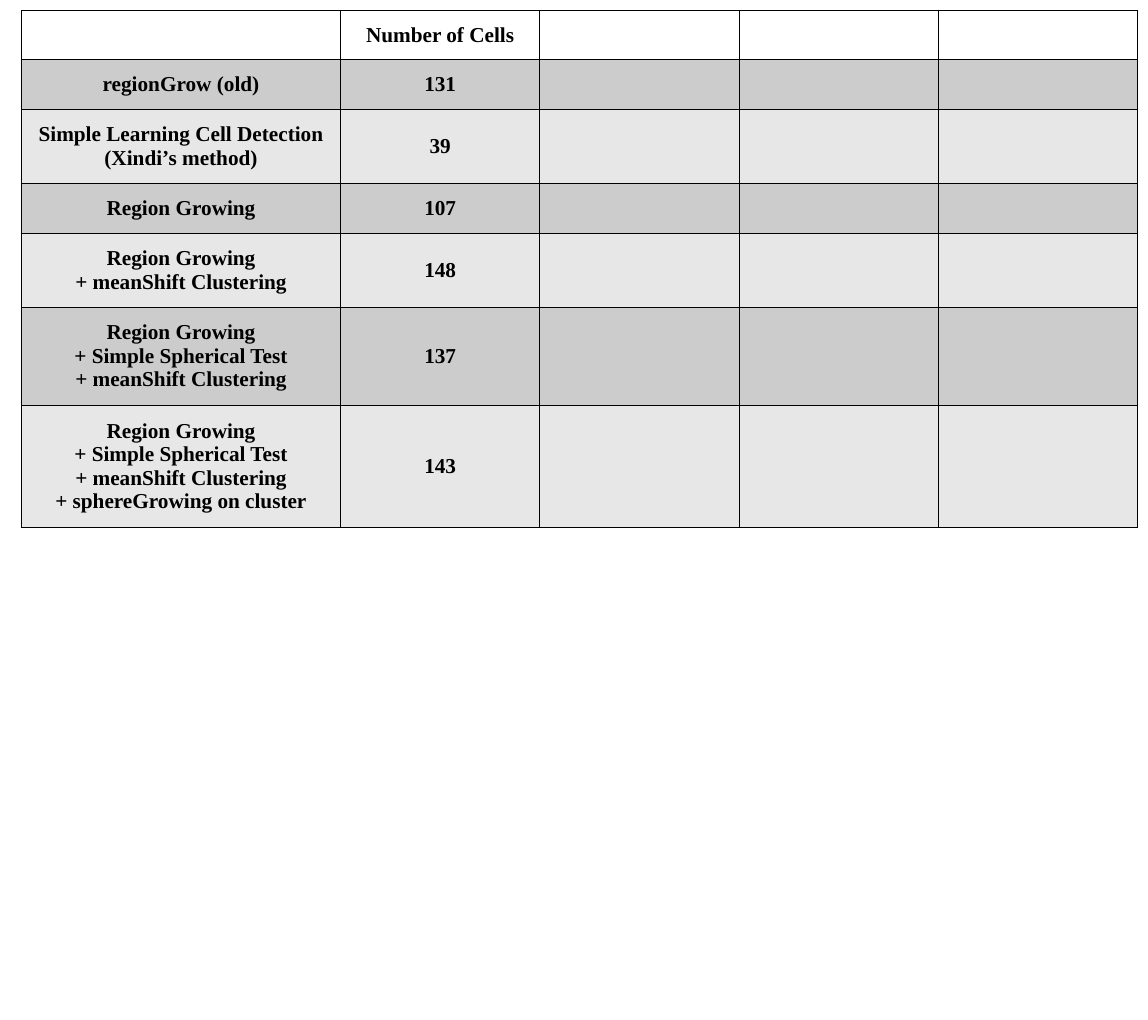
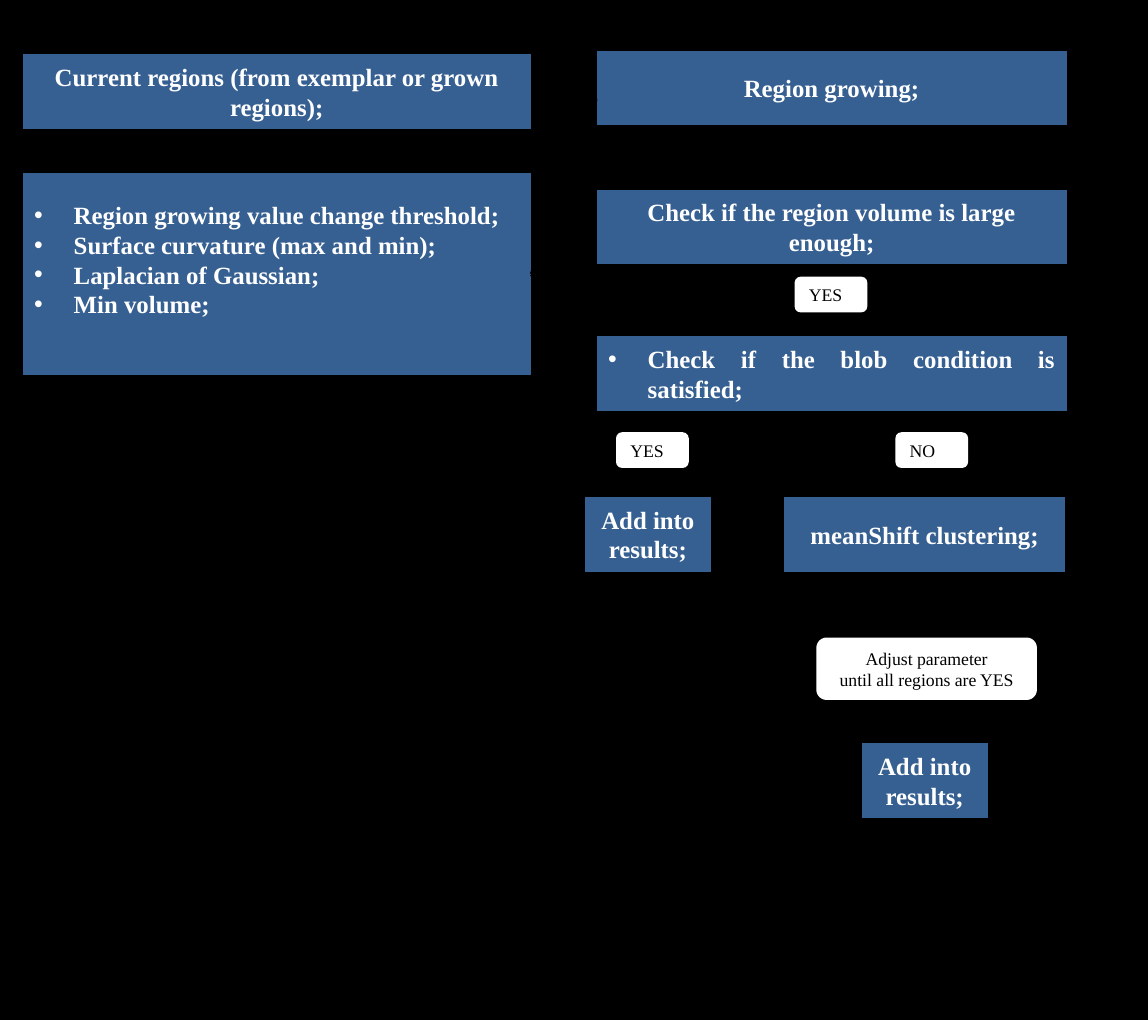
from dataclasses import dataclass

from lxml import etree
from pptx import Presentation
from pptx.dml.color import RGBColor
from pptx.enum.dml import MSO_LINE
from pptx.enum.shapes import MSO_CONNECTOR, MSO_SHAPE
from pptx.enum.text import MSO_ANCHOR, PP_ALIGN
from pptx.oxml.ns import qn
from pptx.util import Inches, Pt

CENTER, JUSTIFY = PP_ALIGN.CENTER, PP_ALIGN.JUSTIFY
MIDDLE = MSO_ANCHOR.MIDDLE
RECT, PILL = MSO_SHAPE.RECTANGLE, MSO_SHAPE.FLOWCHART_ALTERNATE_PROCESS
STRAIGHT, ELBOW = MSO_CONNECTOR.STRAIGHT, MSO_CONNECTOR.ELBOW
DASH = MSO_LINE.SQUARE_DOT
TOP, LEFT, BOTTOM = 0, 1, 2


@dataclass(frozen=True)
class Theme:
    font: str = "Times New Roman"
    black: RGBColor = RGBColor(0, 0, 0)
    white: RGBColor = RGBColor(255, 255, 255)
    blue: RGBColor = RGBColor(0x37, 0x60, 0x92)
    bands: tuple = (RGBColor(0xCC, 0xCC, 0xCC), RGBColor(0xE7, 0xE7, 0xE7))
    table_size: int = 12
    box_size: int = 14
    label_size: int = 10
    inset: float = 0.1
    indent: float = 0.31
    table_line: float = 0.5
    box_line: float = 1
    arrow_line: float = 2.25


class Deck:
    def __init__(self, theme, width, height):
        self.theme = theme
        self.prs = Presentation()
        self.prs.slide_width, self.prs.slide_height = Inches(width), Inches(height)
        self.s = None

    def slide(self, color):
        self.s = self.prs.slides.add_slide(self.prs.slide_layouts[6])
        fill = self.s.background.fill
        fill.solid()
        fill.fore_color.rgb = color

    def format_text(self, tf, text, size, color, bold, align):
        tf.text = text
        tf.word_wrap = True
        for p in tf.paragraphs:
            p.alignment = align
            for r in p.runs:
                r.font.name = self.theme.font
                r.font.size = Pt(size)
                r.font.bold = bold
                r.font.color.rgb = color

    def set_insets(self, target):
        inset = Inches(self.theme.inset)
        target.margin_left = target.margin_right = inset
        target.margin_top = target.margin_bottom = inset
        target.vertical_anchor = MIDDLE

    def shape(self, kind, at, text, fill, size, color, bold, align):
        sp = self.s.shapes.add_shape(kind, *map(Inches, at))
        sp.shadow.inherit = False
        sp.fill.solid()
        sp.fill.fore_color.rgb = fill
        self.set_insets(sp.text_frame)
        self.format_text(sp.text_frame, text, size, color, bold, align)
        return sp

    def box(self, at, text, align=CENTER):
        t = self.theme
        sp = self.shape(RECT, at, text, t.blue, t.box_size, t.white, True, align)
        sp.line.color.rgb = t.black
        sp.line.width = Pt(t.box_line)
        return sp

    def bullet_box(self, at, text):
        sp = self.box(at, text, JUSTIFY)
        indent = Inches(self.theme.indent)
        for p in sp.text_frame.paragraphs:
            pPr = p._p.get_or_add_pPr()
            pPr.set("marL", str(indent))
            pPr.set("indent", str(-indent))
            etree.SubElement(pPr, qn("a:buFont"), typeface="Arial")
            etree.SubElement(pPr, qn("a:buChar"), char="•")
        return sp

    def label(self, at, text, align=JUSTIFY):
        t = self.theme
        sp = self.shape(PILL, at, text, t.white, t.label_size, t.black, False, align)
        sp.line.fill.background()

    def connector(self, kind, start, end):
        cxn = self.s.shapes.add_connector(kind, *map(Inches, start + end))
        cxn.line.color.rgb = self.theme.black
        cxn.line.width = Pt(self.theme.arrow_line)
        etree.SubElement(cxn.line._get_or_add_ln(), qn("a:tailEnd"), type="triangle")
        etree.SubElement(cxn._element.spPr, qn("a:effectLst"))
        return cxn

    def arrow(self, target, site, source=None, start=(0, 0), source_site=BOTTOM, dash=None):
        cxn = self.connector(STRAIGHT, start, start)
        if source is not None:
            cxn.begin_connect(source, source_site)
        cxn.end_connect(target, site)
        if dash is not None:
            cxn.line.dash_style = dash

    def loop_arrow(self, start, end, below, beyond):
        (x1, y1), (x2, y2) = start, end
        cx, cy = (x1 + x2) / 2, (y1 + y2) / 2
        across, up = x2 - x1, y1 - y2
        cxn = self.connector(ELBOW, (cx + up / 2, cy + across / 2),
                             (cx - up / 2, cy - across / 2))
        spPr = cxn._element.spPr
        spPr.find(qn("a:xfrm")).set("rot", "5400000")
        geom = spPr.find(qn("a:prstGeom"))
        geom.set("prst", "bentConnector4")
        guides = geom.find(qn("a:avLst"))
        for name, ratio in (("adj1", -below / up), ("adj2", 1 + beyond / across)):
            etree.SubElement(guides, qn("a:gd"), name=name, fmla=f"val {round(ratio * 100000)}")

    def cell_borders(self, cell):
        tcPr = cell._tc.get_or_add_tcPr()
        for i, side in enumerate(("a:lnL", "a:lnR", "a:lnT", "a:lnB")):
            ln = etree.Element(qn(side), w=str(Pt(self.theme.table_line)))
            fill = etree.SubElement(ln, qn("a:solidFill"))
            etree.SubElement(fill, qn("a:srgbClr"), val=str(self.theme.black))
            tcPr.insert(i, ln)

    def table(self, left, top, widths, rows, line_height):
        t = self.theme
        heights = [2 * t.inset + line_height * (row[0].count("\n") + 1) for row in rows]
        frame = self.s.shapes.add_table(len(rows), len(widths), Inches(left), Inches(top),
                                        Inches(sum(widths)), Inches(sum(heights)))
        tbl = frame.table
        for column, width in zip(tbl.columns, widths):
            column.width = Inches(width)
        for i, (row, height) in enumerate(zip(rows, heights)):
            tbl.rows[i].height = Inches(height)
            for j in range(len(widths)):
                cell = tbl.cell(i, j)
                text = row[j] if j < len(row) else ""
                cell.fill.solid()
                cell.fill.fore_color.rgb = t.bands[(i - 1) % 2] if i else t.white
                self.cell_borders(cell)
                if text:
                    self.set_insets(cell)
                    self.format_text(cell.text_frame, text, t.table_size, t.black, True, CENTER)
                else:
                    cell.margin_top = cell.margin_bottom = 0


def results_slide(d):
    d.slide(d.theme.white)
    steps = ["Region Growing", "+ Simple Spherical Test", "+ meanShift Clustering",
             "+ sphereGrowing on cluster"]
    rows = [
        ("", "Number of Cells"),
        ("regionGrow (old)", "131"),
        ("Simple Learning Cell Detection\n(Xindi’s method)", "39"),
        (steps[0], "107"),
        ("\n".join(steps[0:3:2]), "148"),
        ("\n".join(steps[:3]), "137"),
        ("\n".join(steps), "143"),
    ]
    d.table(0.17, 0.08, [2.5] + [6.25 / 4] * 4, rows, 0.19)


def flow_slide(d):
    d.slide(d.theme.black)
    settings = d.bullet_box((0.17, 1.35, 4, 1.6), "\n".join([
        "Region growing value change threshold;",
        "Surface curvature (max and min);",
        "Laplacian of Gaussian;",
        "Min volume;",
    ]))
    settings.text_frame.margin_bottom = Inches(0.33)
    regions = d.box((0.17, 0.42, 4, 0.6), "Current regions (from exemplar or grown regions);")
    growing = d.box((4.67, 0.39, 3.7, 0.6), "Region growing;")
    volume = d.box((4.67, 1.48, 3.7, 0.6), "Check if the region volume is large enough;")
    blob = d.bullet_box((4.67, 2.63, 3.7, 0.6), "Check if the blob condition is satisfied;")
    added = d.box((4.58, 3.89, 1, 0.6), "Add into results;")
    clustering = d.box((6.14, 3.89, 2.22, 0.6), "meanShift clustering;")
    added_later = d.box((6.75, 5.82, 1, 0.6), "Add into results;")

    for source, target in ((regions, settings), (growing, volume), (volume, blob),
                           (clustering, added_later)):
        d.arrow(target, TOP, source)
    for target, x in ((added, 5.08), (clustering, 7.25)):
        d.arrow(target, TOP, start=(x, 3.25))
    for target in (growing, volume, blob):
        d.arrow(target, LEFT, settings, source_site=3, dash=DASH)
    d.loop_arrow((7.25, 4.49), (8.37, 2.93), 0.25, 0.25)

    for x, y, text in ((6.23, 2.17, "YES"), (4.83, 3.39, "YES"), (7.02, 3.39, "NO")):
        d.label((x, y, 0.57, 0.28), text)
    d.label((6.4, 5, 1.73, 0.49), "Adjust parameter\nuntil all regions are YES", CENTER)


def main():
    d = Deck(Theme(), 9, 8)
    results_slide(d)
    flow_slide(d)
    d.prs.save("out.pptx")


if __name__ == "__main__":
    main()
